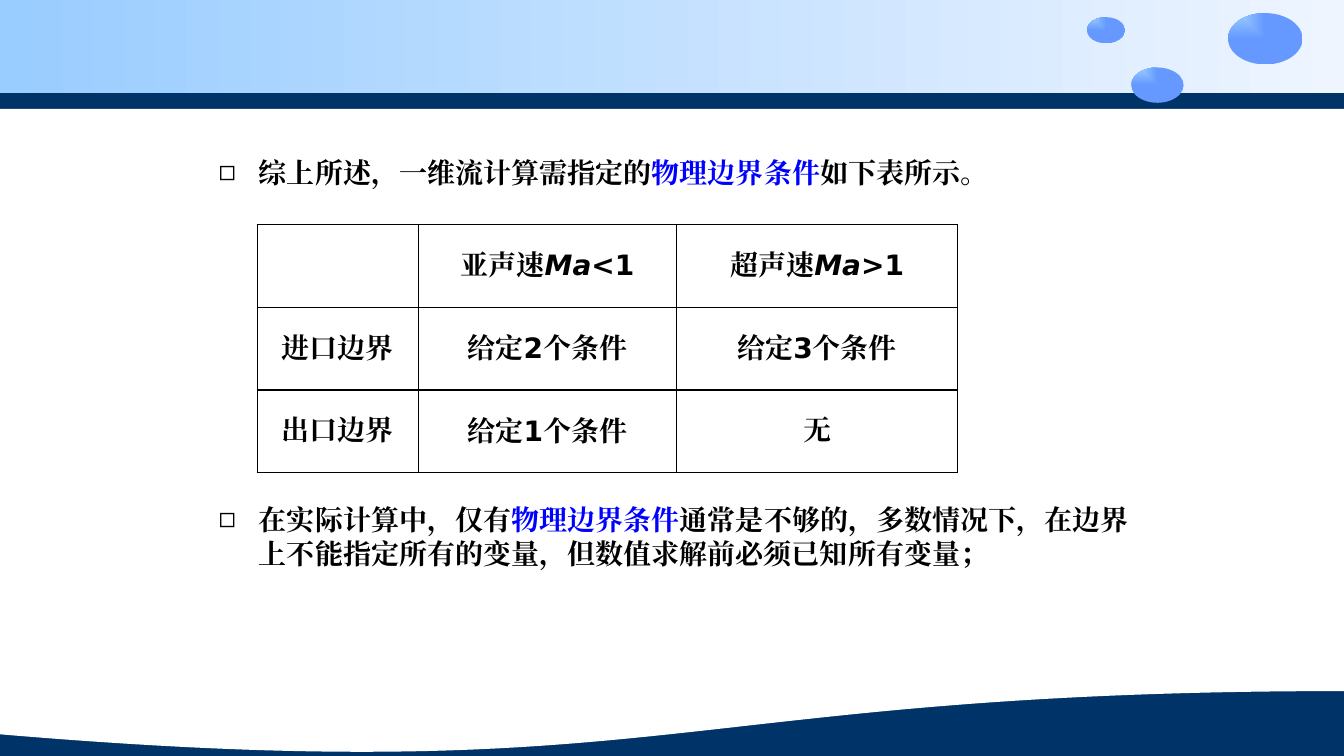
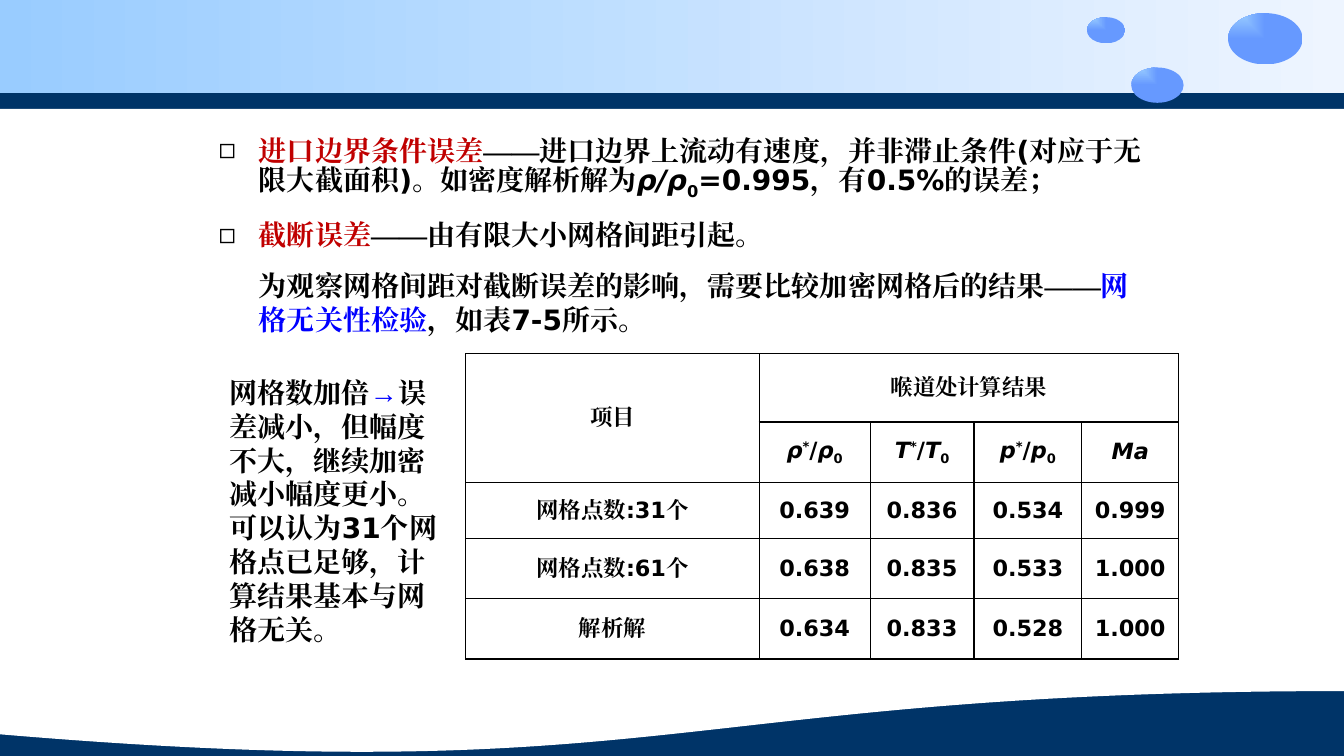
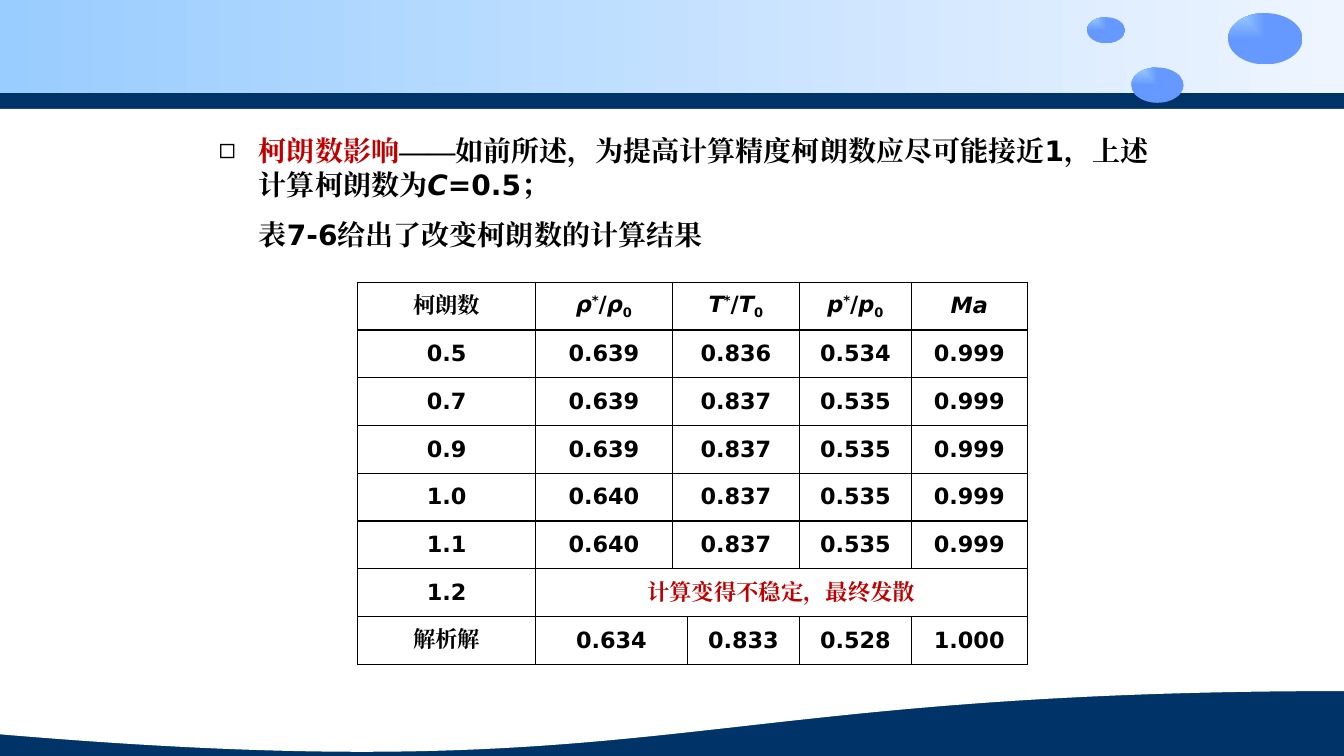
from lxml import etree
from pptx import Presentation
from pptx import util as u
from pptx.dml.color import RGBColor
from pptx.enum import lang, shapes, text
from pptx.oxml.ns import qn

WIDTH, HEIGHT = 13.33, 7.5
COLORS = {"navy": "003468", "white": "FFFFFF", "black": "000000",
          "blue": "0000FF", "red": "C00000", "sky": "99CCFF",
          "mist": "EEF5FF", "bubble": "6699FF"}
MARKS = {"_": {"italic": True}, "^": {"base": 30}, "~": {"base": -25},
         "@": {"color": "blue"}, "#": {"color": "red"},
         "&": {"color": "blue", "font": "Arial"}}
RGB = {name: RGBColor.from_string(value) for name, value in COLORS.items()}


def place(left, top, width, height):
    shares = ((left, WIDTH), (top, HEIGHT), (width, WIDTH), (height, HEIGHT))
    return [u.Inches(share * full / 100) for share, full in shares]


def write(paragraph, content, size=20, font="DejaVu Sans", align=None,
          indent=0, bullet=False, before=None, spacing=None):
    paragraph.alignment = align
    paragraph.space_before = before
    paragraph.line_spacing = spacing
    properties = paragraph._p.get_or_add_pPr()
    properties.set("marL", str(u.Inches(indent)))
    properties.set("indent", str(u.Inches(-indent if bullet else 0)))
    if bullet:
        tint = etree.SubElement(properties, qn("a:buClr"))
        etree.SubElement(tint, qn("a:srgbClr"), val=COLORS["black"])
        etree.SubElement(properties, qn("a:buFont"), typeface="Arial")
        etree.SubElement(properties, qn("a:buChar"), char="◻")
    for piece in filter(None, content.split("|")):
        style = MARKS.get(piece[0], {})
        run = paragraph.add_run()
        run.text = piece[1:] if style else piece
        run.font.size = u.Pt(size)
        run.font.bold = True
        run.font.italic = style.get("italic", False)
        run.font.name = style.get("font", font)
        run.font.language_id = lang.MSO_LANGUAGE_ID.SIMPLIFIED_CHINESE
        run.font.color.rgb = RGB[style.get("color", "black")]
        latin = run.font._element.find(qn("a:latin"))
        east_asian = etree.Element(qn("a:ea"), typeface="Times New Roman")
        latin.addnext(east_asian)
        if "base" in style:
            run.font._element.set("baseline", str(style["base"] * 1000))


deck = Presentation()
deck.slide_width, deck.slide_height = u.Inches(WIDTH), u.Inches(HEIGHT)
layout = deck.slide_layouts[6]
for unused in list(layout.placeholders):
    layout.shapes.element.remove(unused.element)
layout.background.fill.solid()
layout.background.fill.fore_color.rgb = RGB["navy"]
pages = [deck.slides.add_slide(layout) for _ in range(3)]

KIND = shapes.MSO_SHAPE
backdrop = [
    (KIND.RECTANGLE, (0, 0, 100, 12.27), ("sky", "mist")),
    (KIND.RECTANGLE, (0, 14.4, 100, 53.33), ("white",)),
    (KIND.FLOWCHART_DOCUMENT, (0, 56.67, 100, 43.33), ("white",)),
    (KIND.OVAL, (80.87, 2.27, 2.85, 3.47), ("sky", "bubble")),
    (KIND.OVAL, (84.17, 8.93, 3.9, 4.67), ("sky", "bubble")),
    (KIND.OVAL, (91.37, 1.73, 5.55, 6.8), ("sky", "bubble")),
]
for kind, area, tones in backdrop:
    part = pages[0].shapes.add_shape(kind, *place(*area))
    part.shadow.inherit = False
    part.line.fill.background()
    if len(tones) == 1:
        part.fill.solid()
        part.fill.fore_color.rgb = RGB[tones[0]]
    else:
        part.fill.gradient()
        part.fill.gradient_angle = 0
        for stop, tone in zip(part.fill.gradient_stops, tones):
            stop.color.rgb = RGB[tone]
    if kind == KIND.OVAL:
        linear = next(part.element.iter(qn("a:lin")))
        glow = etree.Element(qn("a:path"), {"path": "rect"})
        etree.SubElement(glow, qn("a:fillToRect"), r="100000", b="100000")
        linear.getparent().replace(linear, glow)
    layout.shapes.element.append(part.element)

bulleted = {"indent": 0.4, "bullet": True, "before": u.Pt(12)}
continued = {"indent": 0.4, "before": u.Pt(12)}
serif = {**bulleted, "font": "Times New Roman"}
passages = [
    (0, (15.53, 19.87, 70.67, 5.87), [
        ("综上所述，一维流计算需指定的|@物理边界条件|如下表所示。", serif)]),
    (0, (15.53, 65.73, 70.67, 10.27), [
        ("在实际计算中，仅有|@物理边界条件|通常是不够的，多数情况下，"
         "在边界上不能指定所有的变量，但数值求解前必须已知所有变量；", bulleted)]),
    (1, (15.53, 16.93, 70.67, 28.27), [
        ("#进口边界条件误差|——进口边界上流动有速度，并非滞止条件"
         "(对应于无限大截面积)。如密度解析解为|_ρ/ρ|~0|=0.995，有0.5%的误差；", bulleted),
        ("#截断误差|——由有限大小网格间距引起。", bulleted),
        ("为观察网格间距对截断误差的影响，需要比较加密网格后的结果——"
         "|@网格无关性检验|，如表7-5所示。", continued)]),
    (1, (16.35, 48.93, 17.7, 37.2), [
        ("网格数加倍|&→|误差减小，但幅度不大，继续加密减小幅度更小。"
         "可以认为31个网格点已足够，计算结果基本与网格无关。", {})]),
    (2, (15.53, 16.93, 70.67, 17.07), [
        ("#柯朗数影响|——如前所述，为提高计算精度柯朗数应尽可能接近1，"
         "上述计算柯朗数为|_C|=0.5；", bulleted),
        ("表7-6给出了改变柯朗数的计算结果", continued)]),
]
for page, area, paragraphs in passages:
    frame = pages[page].shapes.add_textbox(*place(*area)).text_frame
    frame.word_wrap = True
    frame.auto_size = text.MSO_AUTO_SIZE.SHAPE_TO_FIT_TEXT
    for index, (content, style) in enumerate(paragraphs):
        paragraph = frame.add_paragraph() if index else frame.paragraphs[0]
        write(paragraph, content, spacing=u.Pt(24.25), **style)

density, temperature, pressure = [f"_{s}|^*|/|_{s}|~0" for s in "ρTp"]
courant_results = [
    ("0.5", "0.639", "0.836", "0.534"),
    ("0.7", "0.639", "0.837", "0.535"),
    ("0.9", "0.639", "0.837", "0.535"),
    ("1.0", "0.640", "0.837", "0.535"),
    ("1.1", "0.640", "0.837", "0.535"),
]
tables = [
    (0, (19.13, 29.73, 52.14, 32.8), 20,
     [1.6, 2.56, 2.79], [0.82] * 3, [
         ("", "亚声速|_Ma|<1", "超声速|_Ma|>1"),
         ("进口边界", "给定2个条件", "给定3个条件"),
         ("出口边界", "给定1个条件", "无")], []),
    (1, (34.66, 46.8, 53.04, 40.4), 16,
     [2.91, 1.1, 1.03, 1.07, 0.96], [0.68, 0.6, 0.56, 0.6, 0.6], [
         ("项目", "喉道处计算结果", "", "", ""),
         ("", density, temperature, pressure, "_Ma"),
         ("网格点数:31个", "0.639", "0.836", "0.534", "0.999"),
         ("网格点数:61个", "0.638", "0.835", "0.533", "1.000"),
         ("解析解", "0.634", "0.833", "0.528", "1.000")],
     [(0, 0, 1, 0), (0, 1, 0, 4)]),
    (2, (26.63, 37.33, 49.81, 50.53), 16,
     [1.76, 1.36, 0.15, 1.11, 1.11, 1.15], [0.47] * 8, [
         ("柯朗数", density, temperature, "", pressure, "_Ma"),
         *[(c, d, t, "", p, "0.999") for c, d, t, p in courant_results],
         ("1.2", "#计算变得不稳定，最终发散", "", "", "", ""),
         ("解析解", "0.634", "", "0.833", "0.528", "1.000")],
     [*[(row, 2, row, 3) for row in range(6)], (6, 1, 6, 5), (7, 1, 7, 2)]),
]
for page, area, size, widths, heights, rows, merges in tables:
    left, top, width, height = place(*area)
    table = pages[page].shapes.add_table(
        len(heights), len(widths), left, top, width, height).table
    table.first_row = table.horz_banding = False
    for column, share in zip(table.columns, widths):
        column.width = int(width * share / sum(widths))
    for line, share in zip(table.rows, heights):
        line.height = int(height * share / sum(heights))
    for row, contents in enumerate(rows):
        for column, content in enumerate(contents):
            cell = table.cell(row, column)
            cell.vertical_anchor = text.MSO_ANCHOR.MIDDLE
            cell.margin_left = cell.margin_right = u.Inches(0.07)
            cell.margin_top = cell.margin_bottom = 0
            write(cell.text_frame.paragraphs[0], content, size=size,
                  align=text.PP_ALIGN.CENTER)
            properties = cell._tc.get_or_add_tcPr()
            for side in "LRTB":
                border = etree.SubElement(
                    properties, qn(f"a:ln{side}"), w=str(u.Pt(1)))
                ink = etree.SubElement(border, qn("a:solidFill"))
                etree.SubElement(ink, qn("a:srgbClr"), val=COLORS["black"])
            cell.fill.background()
    for first_row, first_column, last_row, last_column in merges:
        table.cell(first_row, first_column).merge(
            table.cell(last_row, last_column))

deck.save("out.pptx")
